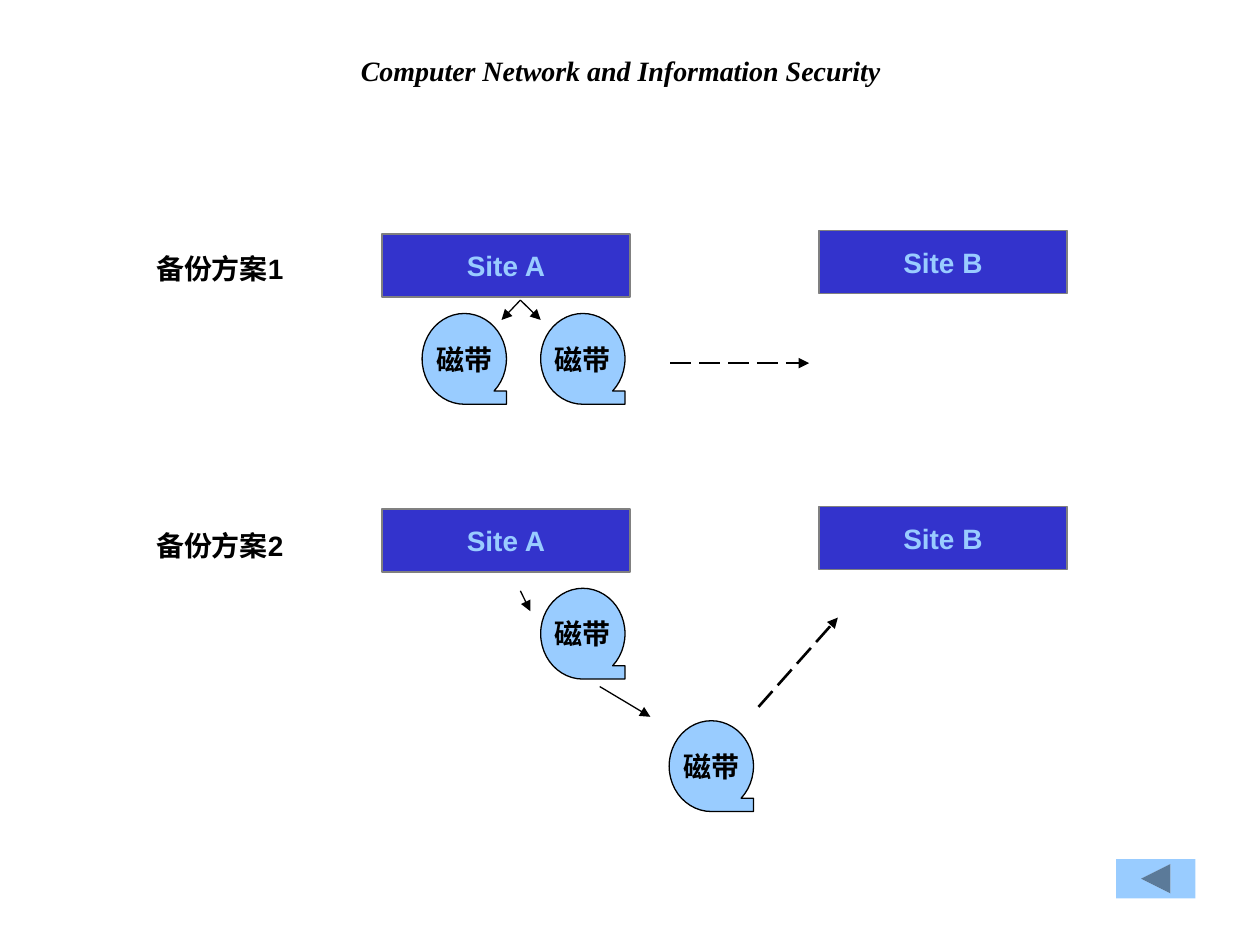
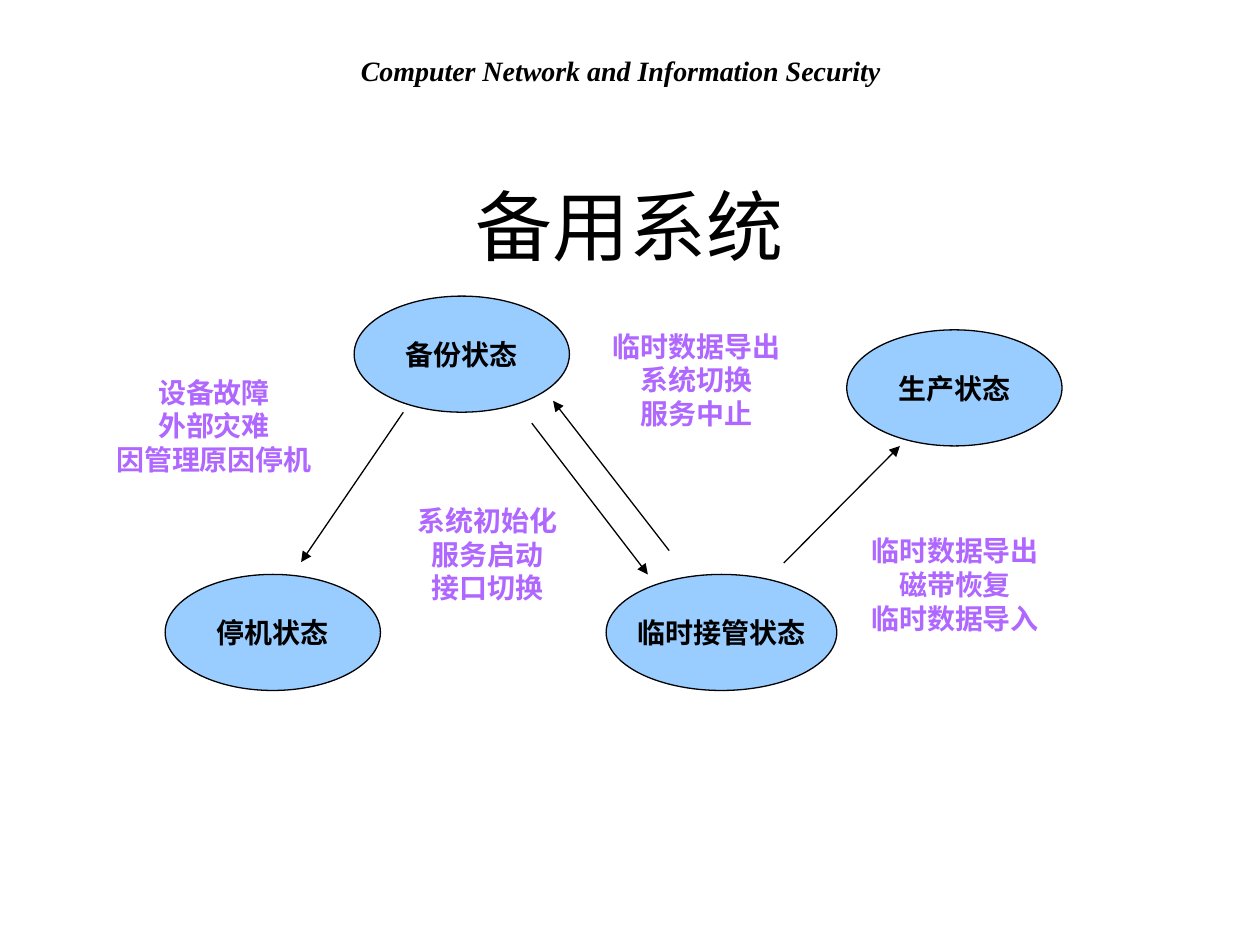
from dataclasses import dataclass

from lxml.etree import SubElement
from pptx import Presentation
from pptx.dml.color import RGBColor as RGB
from pptx.enum.dml import MSO_LINE as Dash
from pptx.enum.shapes import MSO_CONNECTOR as Link, MSO_SHAPE as Geo
from pptx.enum.text import MSO_ANCHOR as Anchor, MSO_AUTO_SIZE as AutoSize, PP_ALIGN as Align
from pptx.oxml.ns import qn
from pptx.util import Cm, Pt


@dataclass(frozen=True)
class Theme:
    white: RGB = RGB(0xFF, 0xFF, 0xFF)
    ink: RGB = RGB(0, 0, 0)
    sky: RGB = RGB(0x99, 0xCC, 0xFF)
    blue: RGB = RGB(0x33, 0x33, 0xCC)
    gray: RGB = RGB(0x80, 0x80, 0x80)
    violet: RGB = RGB(0xAF, 0x67, 0xFF)
    font: str = "Arial"
    header_font: str = "Times New Roman"
    body_size: int = 16
    title_size: int = 44
    thin: float = 0.75
    thick: float = 1.5


class Deck:
    def __init__(self, theme):
        self.theme = theme
        self.prs = Presentation()
        self.prs.slide_width, self.prs.slide_height = Cm(25.4), Cm(19.05)
        self.s = None

    def slide(self, title=None):
        layout = self.prs.slide_layouts[5 if title else 6]
        self.s = self.prs.slides.add_slide(layout)
        self.header()
        if title:
            self.title(title)

    def set_text(self, tf, text, color, align=Align.CENTER, bold=True, wrap=False,
                 size=None, font=None, italic=False):
        tf.text = text
        tf.word_wrap = wrap
        tf.auto_size = AutoSize.NONE
        tf.vertical_anchor = Anchor.MIDDLE
        for p in tf.paragraphs:
            p.alignment = align
            p.font.name = font or self.theme.font
            p.font.size = Pt(size or self.theme.body_size)
            p.font.bold = bold
            p.font.italic = italic
            p.font.color.rgb = color

    def header(self):
        t = self.theme
        sp = self.text("Computer Network and Information Security", 4.12, 0.95, 16.79, 0.94,
                       t.ink, wrap=True, font=t.header_font, italic=True)
        sp.fill.solid()
        sp.fill.fore_color.rgb = t.white

    def title(self, text):
        t = self.theme
        sp = self.s.shapes.title
        sp.left, sp.top, sp.width, sp.height = Cm(1.27), Cm(3.53), Cm(22.86), Cm(1.98)
        self.set_text(sp.text_frame, text, t.ink, bold=False, wrap=True, size=t.title_size)

    def text(self, text, x, y, w, h, color, **style):
        sp = self.s.shapes.add_textbox(Cm(x), Cm(y), Cm(w), Cm(h))
        self.set_text(sp.text_frame, text, color, **style)
        return sp

    def shape(self, geo, x, y, w, h, fill, line=None, text="", color=None):
        sp = self.s.shapes.add_shape(geo, Cm(x), Cm(y), Cm(w), Cm(h))
        sp.shadow.inherit = False
        sp.fill.solid()
        sp.fill.fore_color.rgb = fill
        if line is None:
            sp.line.fill.background()
        else:
            sp.line.color.rgb = line
            sp.line.width = Pt(self.theme.thin)
        if text:
            self.set_text(sp.text_frame, text, color)

    def site(self, name, x, y):
        t = self.theme
        self.shape(Geo.RECTANGLE, x, y, 5, 1.27, t.blue, t.gray, name, t.sky)

    def tape(self, x, y):
        t = self.theme
        self.shape(Geo.FLOWCHART_SEQUENTIAL_ACCESS_STORAGE, x, y, 1.7, 1.83,
                   t.sky, t.ink, "磁带", t.ink)

    def state(self, name, x, y, w=4.34):
        t = self.theme
        self.shape(Geo.OVAL, x, y, w, 2.34, t.sky, t.ink, name, t.ink)

    def arrow(self, x1, y1, x2, y2, dashed=False):
        t = self.theme
        cn = self.s.shapes.add_connector(Link.STRAIGHT, Cm(x1), Cm(y1), Cm(x2), Cm(y2))
        cn.line.color.rgb = t.ink
        cn.line.width = Pt(t.thick if dashed else t.thin)
        if dashed:
            cn.line.dash_style = Dash.LONG_DASH
        sp_pr = cn._element.spPr
        SubElement(sp_pr.find(qn("a:ln")), qn("a:tailEnd"), type="triangle")
        SubElement(sp_pr, qn("a:effectLst"))


def backup_plans(deck):
    t = deck.theme
    deck.slide()
    for number, label_y, a_y, b_y in ((1, 4.9, 4.72, 4.65), (2, 10.49, 10.26, 10.21)):
        deck.text(f"备份方案{number}", 2.9, label_y, 3.4, 1.02, t.ink, align=Align.LEFT)
        deck.site("Site A", 7.7, a_y)
        deck.site("Site B", 16.51, b_y)
    for x, y in ((8.51, 6.32), (10.9, 6.32), (10.9, 11.86), (13.49, 14.53)):
        deck.tape(x, y)
    for ends in ((10.49, 6.05, 10.11, 6.45), (10.49, 6.05, 10.9, 6.45),
                 (10.49, 11.91, 10.69, 12.32), (12.09, 13.84, 13.11, 14.45)):
        deck.arrow(*ends)
    for ends in ((13.51, 7.32, 16.31, 7.32), (15.29, 14.25, 16.89, 12.45)):
        deck.arrow(*ends, dashed=True)
    deck.shape(Geo.ACTION_BUTTON_BACK_OR_PREVIOUS, 22.5, 17.32, 1.6, 0.79, t.sky)


def standby_system(deck):
    deck.slide("备用系统")
    deck.state("备份状态", 7.14, 5.97)
    deck.state("停机状态", 3.33, 11.58)
    deck.state("临时接管状态", 12.22, 11.58, 4.65)
    deck.state("生产状态", 17.07, 6.65)
    for steps, x, y, h in (
        ("设备故障\n外部灾难\n因管理原因停机", 2.69, 6.65, 3.86),
        ("系统初始化\n服务启动\n接口切换", 8.2, 9.58, 3.18),
        ("临时数据导出\n系统切换\n服务中止", 12.42, 5.72, 3.86),
        ("临时数据导出\n磁带恢复\n临时数据导入", 17.63, 10.19, 3.18),
    ):
        deck.text(steps, x, y, 3.25, h, deck.theme.violet)
    for ends in ((8.13, 8.31, 6.07, 11.33), (10.72, 8.53, 13.06, 11.58),
                 (13.49, 11.1, 11.15, 8.08), (15.8, 11.35, 18.14, 8.99)):
        deck.arrow(*ends)


def main():
    deck = Deck(Theme())
    backup_plans(deck)
    standby_system(deck)
    deck.prs.save("out.pptx")


if __name__ == "__main__":
    main()
